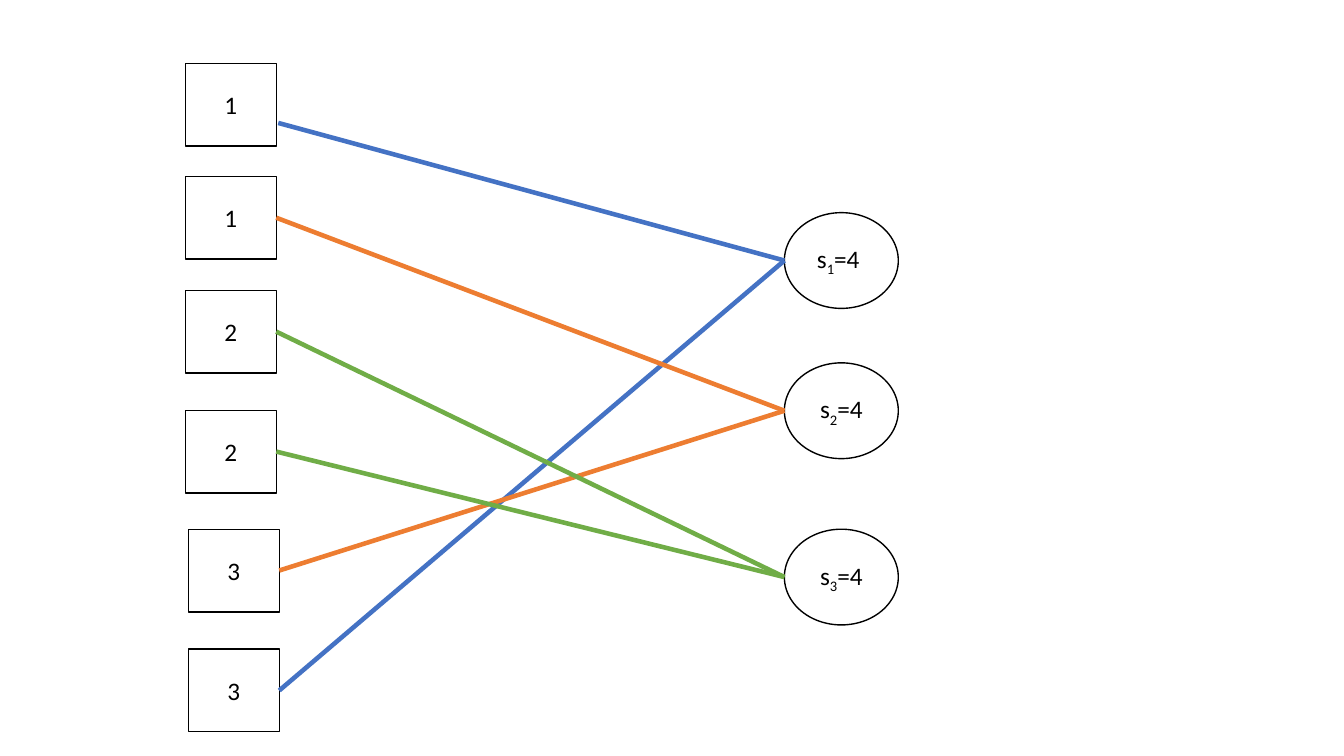
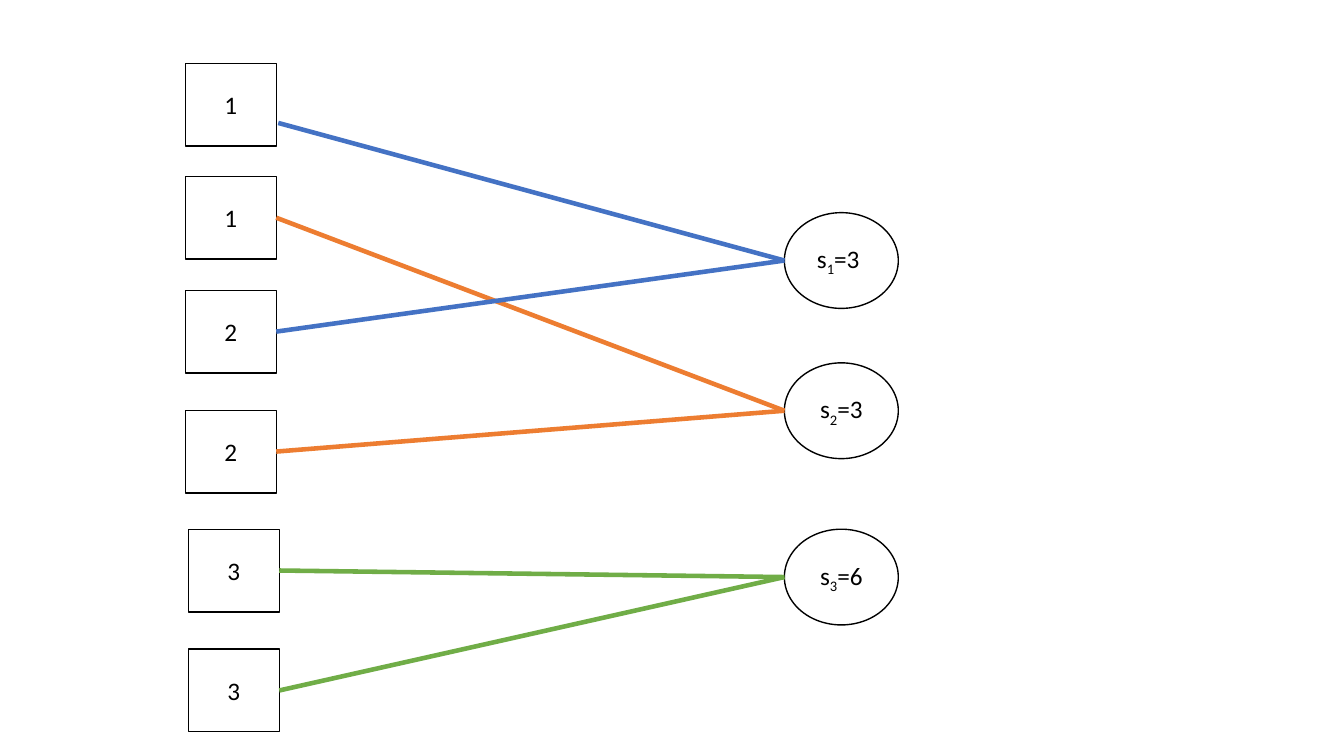
from typing import NamedTuple

import pptx
import pptx.dml.color
import pptx.enum.shapes
import pptx.enum.text
import pptx.oxml.ns
import pptx.presentation
import pptx.shapes.autoshape
import pptx.slide
import pptx.util
from lxml import etree

PX = 9144  # EMU: 100 px to the inch
BLACK, WHITE = "000000", "FFFFFF"
FONT = "Calibri"

ITEM_W, ITEM_H = 90, 82
SERVER_W, SERVER_H, SERVER_LEFT = 113, 95, 778
INSET = 10
RIGHT_SIDE, ELLIPSE_LEFT = 3, 2
LOOSE_START = (276, 122)  # the first link starts just off its item


class Item(NamedTuple):
    load: int
    left: int
    top: int


class Server(NamedTuple):
    top: int
    color: str
    right_inset: int = INSET


class Link(NamedTuple):
    item: int
    server: int


class Assignment(NamedTuple):
    totals: tuple[int, ...]
    links: tuple[Link, ...]


ITEMS = (
    Item(1, 184, 63),
    Item(1, 184, 175),
    Item(2, 184, 288),
    Item(2, 184, 407),
    Item(3, 187, 525),
    Item(3, 187, 644),
)
SERVERS = (
    Server(211, "4472C4", INSET + 6),
    Server(360, "ED7D31"),
    Server(525, "70AD47"),
)
ASSIGNMENTS = (
    Assignment((4, 4, 4), (Link(0, 0), Link(5, 0), Link(1, 1),
                           Link(4, 1), Link(2, 2), Link(3, 2))),
    Assignment((3, 3, 6), (Link(0, 0), Link(5, 2), Link(1, 1),
                           Link(4, 2), Link(2, 0), Link(3, 1))),
)


def px(length: int) -> pptx.util.Emu:
    return pptx.util.Emu(length * PX)


def rgb(value: str) -> pptx.dml.color.RGBColor:
    return pptx.dml.color.RGBColor.from_string(value)


def write(shape: pptx.shapes.autoshape.Shape, *pieces: str, subscript: int | None = None,
          size: int = 18, color: str = BLACK, right_inset: int = INSET) -> None:
    """Centre the pieces as runs; subscript is the index of the lowered one."""
    frame = shape.text_frame
    frame.word_wrap = True
    frame.margin_right = px(right_inset)
    frame.vertical_anchor = pptx.enum.text.MSO_ANCHOR.MIDDLE
    paragraph = frame.paragraphs[0]
    paragraph.alignment = pptx.enum.text.PP_ALIGN.CENTER
    for index, piece in enumerate(pieces):
        run = paragraph.add_run()
        run.text = piece
        run.font.name = FONT
        run.font.size = pptx.util.Pt(size)
        run.font.color.rgb = rgb(color)
        if index == subscript:
            run._r.get_or_add_rPr().set("baseline", "-25000")


def add_node(slide: pptx.slide.Slide, kind: pptx.enum.shapes.MSO_SHAPE, left: int, top: int,
             width: int, height: int, fill: str | None = None) -> pptx.shapes.autoshape.Shape:
    node = slide.shapes.add_shape(kind, px(left), px(top), px(width), px(height))
    node.shadow.inherit = False
    if fill:
        node.fill.solid()
        node.fill.fore_color.rgb = rgb(fill)
    else:
        node.fill.background()
    node.line.color.rgb = rgb(BLACK)
    node.line.width = pptx.util.Pt(1)
    return node


def add_item(slide: pptx.slide.Slide, item: Item) -> pptx.shapes.autoshape.Shape:
    box = add_node(slide, pptx.enum.shapes.MSO_SHAPE.RECTANGLE,
                   item.left, item.top, ITEM_W, ITEM_H, fill=WHITE)
    write(box, str(item.load))
    return box


def add_server(slide: pptx.slide.Slide, server: Server, number: int,
               total: int) -> pptx.shapes.autoshape.Shape:
    oval = add_node(slide, pptx.enum.shapes.MSO_SHAPE.OVAL,
                    SERVER_LEFT, server.top, SERVER_W, SERVER_H)
    write(oval, "s", str(number), f"={total}", subscript=1, right_inset=server.right_inset)
    return oval


def add_link(slide: pptx.slide.Slide, box: pptx.shapes.autoshape.Shape,
             oval: pptx.shapes.autoshape.Shape, color: str, loose: bool) -> None:
    end_x, end_y = oval.left, oval.top + oval.height // 2
    line = slide.shapes.add_connector(pptx.enum.shapes.MSO_CONNECTOR.STRAIGHT,
                                      px(LOOSE_START[0]), px(LOOSE_START[1]), end_x, end_y)
    if not loose:
        line.begin_connect(box, RIGHT_SIDE)
    # end_connect places its end by rectangle sides, so the oval's left is set again
    line.end_connect(oval, ELLIPSE_LEFT)
    line.end_x, line.end_y = end_x, end_y
    line.line.color.rgb = rgb(color)
    line.line.width = pptx.util.Pt(3.25)
    etree.SubElement(line._element.spPr, pptx.oxml.ns.qn("a:effectLst"))


def add_assignment(deck: pptx.presentation.Presentation, assignment: Assignment) -> None:
    slide = deck.slides.add_slide(deck.slide_layouts[6])
    boxes = [add_item(slide, item) for item in ITEMS]
    ovals = [add_server(slide, server, number, total)
             for number, (server, total) in enumerate(zip(SERVERS, assignment.totals), 1)]
    for link in assignment.links:
        add_link(slide, boxes[link.item], ovals[link.server],
                 SERVERS[link.server].color, loose=link.item == 0)


def main() -> None:
    deck = pptx.Presentation()
    deck.slide_width, deck.slide_height = px(1333), px(750)
    for assignment in ASSIGNMENTS:
        add_assignment(deck, assignment)
    deck.save("out.pptx")


if __name__ == "__main__":
    main()
